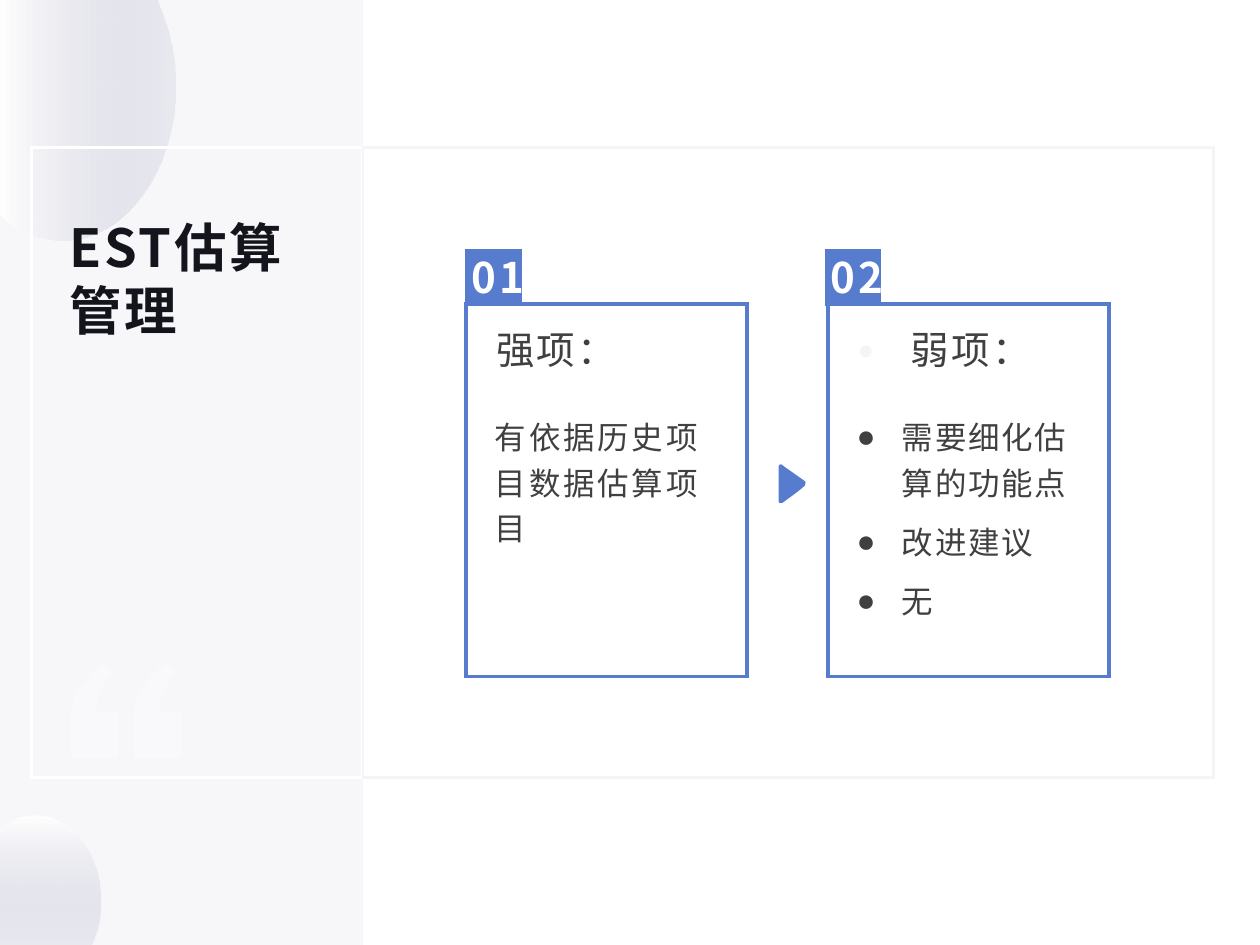
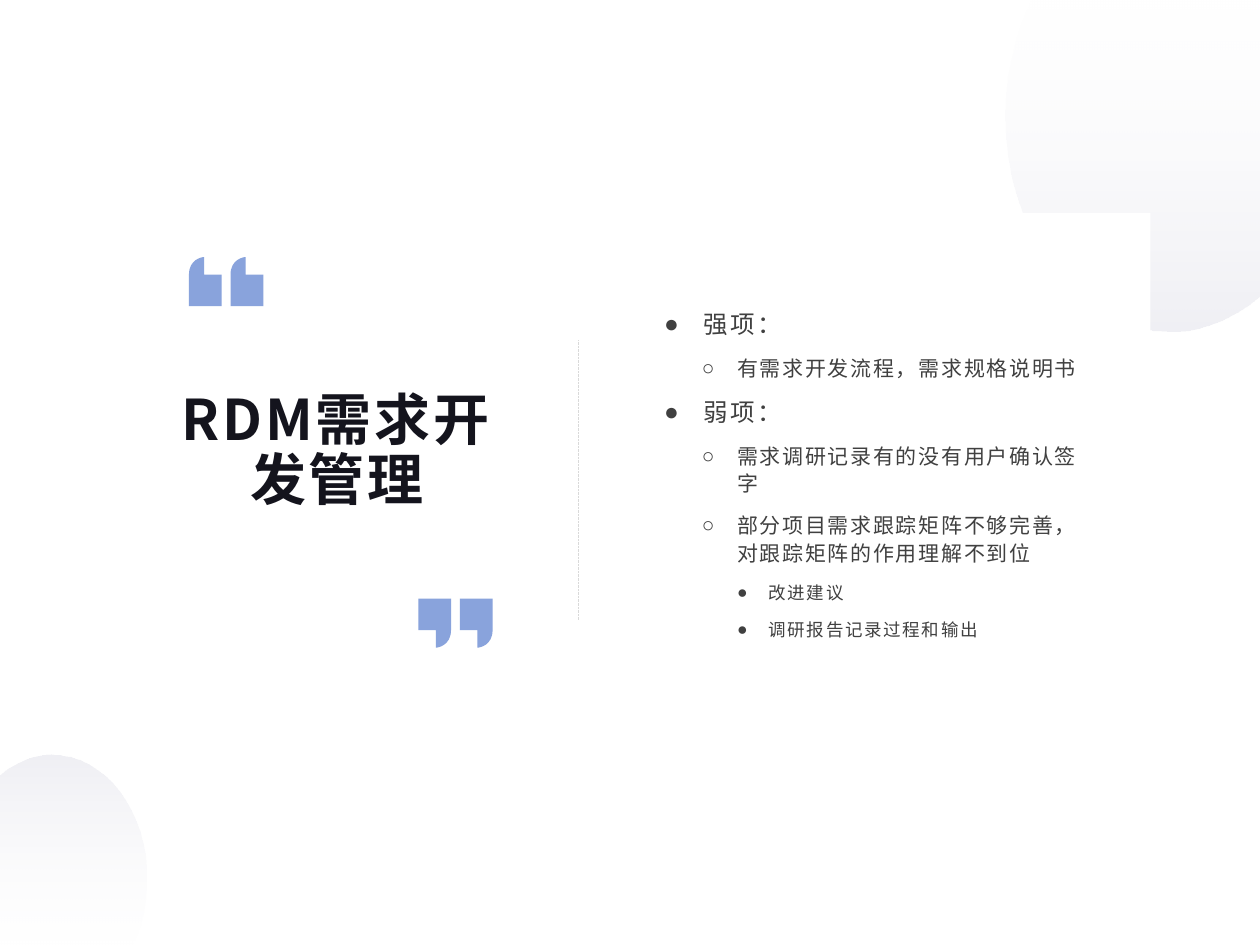
from lxml.etree import SubElement
from pptx import Presentation
from pptx.dml.color import RGBColor
from pptx.enum.dml import MSO_LINE
from pptx.enum.shapes import MSO_CONNECTOR, MSO_SHAPE
from pptx.enum.text import MSO_ANCHOR, MSO_AUTO_SIZE, PP_ALIGN
from pptx.oxml.ns import qn
from pptx.util import Inches, Pt

FONT, BULLET_FONT = "Noto Sans CJK SC", "Arial"
BLUE, PALE, WHITE, HAZE = "577CCE", "F5F5F8", "FFFFFF", "BEBED2"
INK, GREY, RULE = "14141D", "404040", "D9D9D9"
TIGHT = (0.05, 0.02, 0.05, 0.02)
NORMAL = (0.1, 0.05, 0.1, 0.05)

EST_TITLE = "EST估算管理"
CARDS = [
    {"number": "01", "heading": "强项：", "heading_format": {},
     "items": ["有依据历史项目数据估算项目"], "item_format": {"spc": 1.6}},
    {"number": "02", "heading": "弱项：",
     "heading_format": {"bullet": "●", "margin": 0.42, "hang": 0.42,
                        "bullet_color": PALE, "bullet_size": 70},
     "items": ["需要细化估算的功能点", "改进建议", "无"],
     "item_format": {"spc": 1, "bullet": "●", "margin": 0.36, "hang": 0.36}},
]
CARD_STEP, BADGE_STEP = 2.87, 2.85

RDM_TITLE = "RDM需求开发管理"
FINDINGS = [
    (0, "强项："),
    (1, "有需求开发流程，需求规格说明书"),
    (0, "弱项："),
    (1, "需求调研记录有的没有用户确认签字"),
    (1, "部分项目需求跟踪矩阵不够完善，对跟踪矩阵的作用理解不到位"),
    (2, "改进建议"),
    (2, "调研报告记录过程和输出"),
]
LEVELS = [
    {"size": 14, "spc": 1.6, "bullet": "●", "margin": 0.31, "hang": 0.31},
    {"size": 12, "spc": 1, "bullet": "○", "margin": 0.58, "hang": 0.28},
    {"size": 10, "spc": 1, "bullet": "●", "margin": 0.83, "hang": 0.25},
]

EST_TOP_BLOB = [(0, 1.71), (0, 0), (1.24, 0), (1.28, 0.1),
                (1.35, 0.27, 1.39, 0.47, 1.39, 0.68),
                (1.39, 1.36, 0.99, 1.91, 0.49, 1.91),
                (0.33, 1.91, 0.19, 1.86, 0.06, 1.76)]
EST_LOW_BLOB = [(0.72, 7.51), (0, 7.51), (0, 6.58), (0.04, 6.55),
                (0.11, 6.5, 0.2, 6.47, 0.29, 6.47),
                (0.57, 6.47, 0.8, 6.77, 0.8, 7.14),
                (0.8, 7.26, 0.78, 7.37, 0.74, 7.46)]
RDM_TOP_BLOB = [(8.19, 0), (10, 0), (10, 2.34), (9.9, 2.42),
                (9.71, 2.55, 9.5, 2.63, 9.28, 2.63),
                (8.56, 2.63, 7.98, 1.87, 7.98, 0.92),
                (7.98, 0.63, 8.04, 0.35, 8.14, 0.11)]
RDM_LOW_BLOB = [(1.04, 7.5), (0, 7.5), (0, 6.16), (0.06, 6.11),
                (0.16, 6.04, 0.29, 5.99, 0.41, 5.99),
                (0.83, 5.99, 1.16, 6.43, 1.16, 6.97),
                (1.16, 7.14, 1.13, 7.3, 1.07, 7.44)]
SOFT_QUOTE = [(0.94, 6.02), (0.56, 6.02), (0.56, 5.68),
              (0.58, 5.4, 0.83, 5.26, 0.83, 5.26), (0.84, 5.28),
              (0.86, 5.3, 0.88, 5.32, 0.9, 5.33), (0.91, 5.34),
              (0.91, 5.34, 0.77, 5.44, 0.76, 5.64), (0.94, 5.64)]
OPEN_QUOTE = [(1.62, 2.04), (1.62, 2.18), (1.76, 2.18), (1.76, 2.43),
              (1.5, 2.43), (1.5, 2.18), (1.5, 2.06, 1.6, 2.04, 1.62, 2.04)]
ARROW = [(6.22, 3.7), (6.39, 3.82, 6.39, 3.82, 6.39, 3.82),
         (6.39, 3.82, 6.4, 3.83, 6.39, 3.85),
         (6.38, 3.87, 6.21, 3.99, 6.21, 3.99),
         (6.21, 3.99, 6.18, 4, 6.18, 3.98),
         (6.18, 3.96, 6.18, 3.71, 6.18, 3.71),
         (6.18, 3.71, 6.18, 3.66, 6.22, 3.7)]


def rgb(color):
    """Turn a hex string into a colour."""
    return RGBColor.from_string(color)


def set_alphas(sp, alphas):
    """Give each fill colour of a shape its opacity in percent."""
    for node, alpha in zip(sp.element.spPr.iter(qn("a:srgbClr")), alphas):
        SubElement(node, qn("a:alpha"), val=str(alpha * 1000))


def paint(sp, fill=None, alpha=100, line=None, width=1.5):
    """Set the fill and the square-cornered outline of a shape."""
    sp.shadow.inherit = False
    if fill:
        sp.fill.solid()
        sp.fill.fore_color.rgb = rgb(fill)
        if alpha < 100:
            set_alphas(sp, [alpha])
    else:
        sp.fill.background()
    if line:
        sp.line.color.rgb = rgb(line)
        sp.line.width = Pt(width)
        SubElement(sp.element.spPr.find(qn("a:ln")), qn("a:miter"), lim="800000")
    else:
        sp.line.fill.background()


def rect(s, at, **style):
    """Add a painted rectangle."""
    paint(s.shapes.add_shape(MSO_SHAPE.RECTANGLE, *map(Inches, at)), **style)


def place(outline, sign=1, dx=0, dy=0):
    """Shift an outline, or turn it half round with sign -1."""
    return [tuple(sign * v + (dy if i % 2 else dx) for i, v in enumerate(piece))
            for piece in outline]


def freeform(s, outline, **style):
    """Add a closed freeform; six-number pieces are Bezier curves."""
    pieces = [tuple(map(Inches, piece)) for piece in outline]
    builder = s.shapes.build_freeform(*pieces[0])
    builder.add_line_segments([piece[-2:] for piece in pieces[1:]], close=True)
    sp = builder.convert_to_shape()
    for node, piece in zip(list(sp.element.spPr.iter(qn("a:lnTo"))), pieces[1:]):
        if len(piece) == 6:
            curve = SubElement(node.getparent(), qn("a:cubicBezTo"))
            for x, y in zip(piece[::2], piece[1::2]):
                SubElement(curve, qn("a:pt"), x=str(x - sp.left), y=str(y - sp.top))
            node.getparent().replace(node, curve)
    paint(sp, **style)
    return sp


def blob(s, outline, angle, white_alpha):
    """Add a rounded corner shape fading from white to haze."""
    sp = freeform(s, outline)
    sp.fill.gradient()
    sp.fill.gradient_angle = angle
    for stop, color, position in zip(sp.fill.gradient_stops, (WHITE, HAZE), (0, 1)):
        stop.color.rgb = rgb(color)
        stop.position = position
    set_alphas(sp, [white_alpha, 24])


def frame(sp, anchor=MSO_ANCHOR.TOP, inset=NORMAL):
    """Prepare the text frame of a shape."""
    tf = sp.text_frame
    tf.word_wrap = True
    tf.auto_size = MSO_AUTO_SIZE.NONE
    tf.vertical_anchor = anchor
    tf.margin_left, tf.margin_top, tf.margin_right, tf.margin_bottom = map(Inches, inset)
    return tf


def textbox(s, at, **layout):
    """Add a text box and return its text frame."""
    return frame(s.shapes.add_textbox(*map(Inches, at)), **layout)


def write(tf, text, size=18, color=GREY, bold=False, spc=1.6, align=PP_ALIGN.LEFT,
          spacing=1.0, after=0, level=0, bullet=None, margin=0, hang=0,
          bullet_color=None, bullet_size=None):
    """Add one formatted paragraph."""
    p = tf.add_paragraph() if tf.text else tf.paragraphs[0]
    p.alignment, p.level = align, level
    p.line_spacing, p.space_after = spacing, Pt(after)
    if bullet:
        pPr = p._p.get_or_add_pPr()
        pPr.set("marL", str(Inches(margin)))
        pPr.set("indent", str(-Inches(hang)))
        if bullet_color:
            SubElement(SubElement(pPr, qn("a:buClr")), qn("a:srgbClr"), val=bullet_color)
        if bullet_size:
            SubElement(pPr, qn("a:buSzPct"), val=str(bullet_size * 1000))
        SubElement(pPr, qn("a:buFont"), typeface=BULLET_FONT)
        SubElement(pPr, qn("a:buChar"), char=bullet)
    r = p.add_run()
    r.text = text
    r.font.size, r.font.bold, r.font.name = Pt(size), bold, FONT
    r.font.color.rgb = rgb(color)
    rPr = r._r.get_or_add_rPr()
    rPr.set("spc", str(round(spc * 100)))
    SubElement(rPr, qn("a:ea"), typeface=FONT)


def title(s, text, at, anchor=MSO_ANCHOR.TOP, **style):
    """Place the slide title in front of the decoration."""
    sp = s.shapes.title
    sp.left, sp.top, sp.width, sp.height = map(Inches, at)
    write(frame(sp, anchor, TIGHT), text, color=INK, bold=True, **style)
    sp.element.getparent().append(sp.element)


def card(s, index, number, heading, heading_format, items, item_format):
    """Add a numbered card."""
    x, badge_x = 3.7 + index * CARD_STEP, 3.71 + index * BADGE_STEP
    rect(s, (badge_x, 1.99, 0.42, 0.42), fill=BLUE, line=BLUE, width=2.25)
    rect(s, (x, 2.41, 2.23, 2.96), line=BLUE, width=2.25)
    write(textbox(s, (x + 0.14, 2.58, 2.04, 0.49)), heading, size=22, spc=1.4,
          spacing=0.9, **heading_format)
    tf = textbox(s, (x + 0.13, 3.21, 2.07, 1.89))
    for item in items:
        write(tf, item, spacing=1.2, after=8, **item_format)
    tf = textbox(s, (badge_x, 1.96, 0.48, 0.47), anchor=MSO_ANCHOR.MIDDLE,
                 inset=(0, 0, 0, 0))
    write(tf, number, size=24, color=WHITE, bold=True, align=PP_ALIGN.CENTER, after=8)


def est_slide(s):
    """Build the estimation slide."""
    rect(s, (0, 0, 2.88, 7.5), fill=PALE, alpha=70)
    blob(s, EST_TOP_BLOB, 0, 100)
    blob(s, EST_LOW_BLOB, 270, 100)
    rect(s, (0.25, 1.17, 2.63, 5), line=WHITE)
    rect(s, (2.88, 1.17, 6.75, 5), line=PALE)
    for shift, alpha in ((0.5, 36), (0, 34)):
        freeform(s, place(SOFT_QUOTE, dx=shift), fill=WHITE, alpha=alpha)
    title(s, EST_TITLE, (0.5, 1.69, 2.12, 2.12), size=30)
    freeform(s, ARROW, fill=BLUE)
    for i, content in enumerate(CARDS):
        card(s, i, **content)


def rdm_slide(s):
    """Build the requirements slide."""
    blob(s, RDM_TOP_BLOB, 270, 10)
    blob(s, RDM_LOW_BLOB, 90, 10)
    rect(s, (0.88, 1.69, 8.25, 4.13), fill=WHITE)
    divider = s.shapes.add_connector(MSO_CONNECTOR.STRAIGHT, *map(Inches, (4.59, 2.7, 4.59, 4.92)))
    divider.line.color.rgb = rgb(RULE)
    divider.line.width = Pt(0.1)
    divider.line.dash_style = MSO_LINE.DASH
    SubElement(divider.element.spPr, qn("a:effectLst"))
    for sign, x, y in ((1, 0, 0), (1, 0.33, 0), (-1, 5.08, 7.18), (-1, 5.41, 7.18)):
        freeform(s, place(OPEN_QUOTE, sign, x, y), fill=BLUE, alpha=70)
    tf = textbox(s, (5.22, 2.33, 3.41, 2.85), anchor=MSO_ANCHOR.MIDDLE, inset=TIGHT)
    for level, text in FINDINGS:
        write(tf, text, level=level, spacing=1.1, after=8, **LEVELS[level])
    title(s, RDM_TITLE, (1.38, 3.03, 2.59, 1.12), anchor=MSO_ANCHOR.MIDDLE, size=32,
          align=PP_ALIGN.CENTER, spacing=0.9)


def main():
    """Build and save the presentation."""
    prs = Presentation()
    prs.slide_width, prs.slide_height = Inches(10), Inches(7.5)
    for build in (est_slide, rdm_slide):
        build(prs.slides.add_slide(prs.slide_layouts[5]))
    prs.save("out.pptx")


if __name__ == "__main__":
    main()
